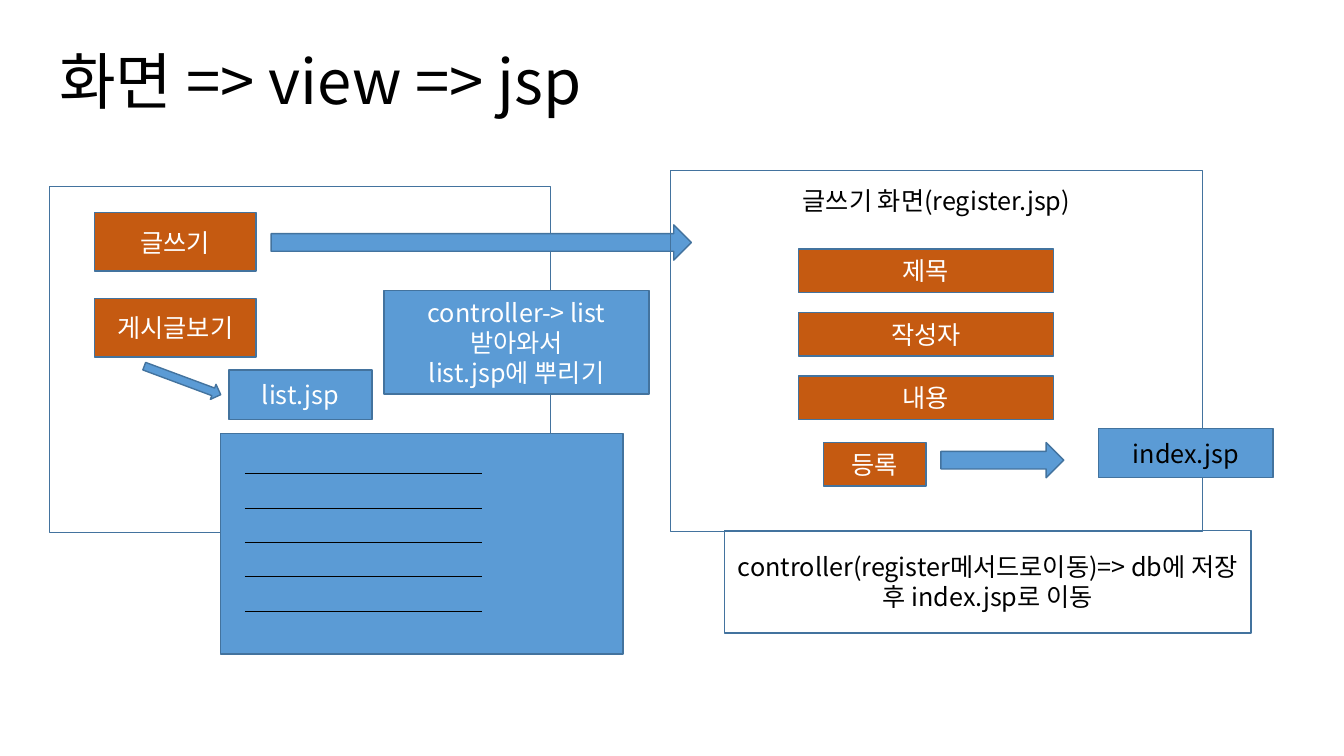
from lxml import etree
from pptx import Presentation
from pptx.dml.color import RGBColor
from pptx.enum.shapes import MSO_CONNECTOR, MSO_SHAPE
from pptx.enum.text import MSO_ANCHOR, PP_ALIGN
from pptx.oxml.ns import qn
from pptx.util import Pt

RECTANGLE, ARROW = MSO_SHAPE.RECTANGLE, MSO_SHAPE.RIGHT_ARROW
STRAIGHT = MSO_CONNECTOR.STRAIGHT
TOP, MIDDLE = MSO_ANCHOR.TOP, MSO_ANCHOR.MIDDLE
LEFT, CENTER = PP_ALIGN.LEFT, PP_ALIGN.CENTER
FONT = "Noto Sans CJK KR"
BLUE, ORANGE, OUTLINE = "5B9BD5", "C55A11", "43739E"
WHITE, BLACK = "FFFFFF", "000000"


def color(value):
    return RGBColor.from_string(value)


def write(shape, text, size=18, ink=WHITE, align=CENTER, anchor=MIDDLE,
          spacing=1.0, top=3.6):
    frame = shape.text_frame
    frame.word_wrap = True
    frame.vertical_anchor = anchor
    frame.margin_top = Pt(top)
    for index, line in enumerate(text.split("\n")):
        para = frame.add_paragraph() if index else frame.paragraphs[0]
        para.alignment = align
        para.line_spacing = spacing
        span = para.add_run()
        span.text = line
        span.font.size = Pt(size)
        span.font.color.rgb = color(ink)
        span.font.name = FONT
        east_asian = etree.SubElement(span.font._element, qn("a:ea"))
        east_asian.set("typeface", FONT)


def add_block(page, box, fill=None, text=None, kind=RECTANGLE, **style):
    shape = page.shapes.add_shape(kind, *map(Pt, box))
    shape.shadow.inherit = False
    if fill:
        shape.fill.solid()
        shape.fill.fore_color.rgb = color(fill)
    else:
        shape.fill.background()
    shape.line.color.rgb = color(OUTLINE)
    shape.line.width = Pt(1)
    if text:
        write(shape, text, **style)
    return shape


def add_rule(page, left, top, width):
    rule = page.shapes.add_connector(
        STRAIGHT, Pt(left), Pt(top), Pt(left + width), Pt(top))
    rule.line.color.rgb = color(BLACK)
    rule.line.width = Pt(0.5)
    etree.SubElement(rule._element.spPr, qn("a:effectLst"))


def add_title(page, box):
    title = page.shapes.add_textbox(*map(Pt, box))
    write(title, "화면 => view => jsp", size=44, ink=BLACK, align=LEFT,
          spacing=0.9)


def add_menu_screen(page, box):
    left, top, width, height = box
    add_block(page, box)
    for row, label in enumerate(("글쓰기", "게시글보기")):
        add_block(page, (left + 32.4, top + 18.7 + row * 61.2, 115.2, 41.8),
                  ORANGE, label)
    add_block(page, (left + 158.4, top + 27.4, 300.2, 25.2), BLUE, kind=ARROW)


def add_register_screen(page, box):
    left, top, width, height = box
    add_block(page, box, text="글쓰기 화면(register.jsp)", ink=BLACK,
              anchor=TOP, top=10.8)
    for row, label in enumerate(("제목", "작성자", "내용")):
        add_block(page, (left + 91.4, top + 56.2 + row * 45.4, 182.2, 31),
                  ORANGE, label)
    add_block(page, (left + 109.4, top + 194.4, 73.4, 31), ORANGE, "등록")
    add_block(page, (left + 193.3, top + 194.4, 87.8, 25.2), BLUE, kind=ARROW)
    add_block(page, (left + 306, top + 184.3, 124.6, 35.3), BLUE,
              "index.jsp", ink=BLACK)
    add_block(page, (left + 38.9, top + height - 0.7, 375.8, 73.4),
              text="controller(register메서드로이동)=> db에 저장 후 index.jsp로 이동",
              ink=BLACK)


def add_list_screen(page, box):
    left, top, width, height = box
    arrow = add_block(page, (left - 56.5, top - 43.6, 58.3, 11.5), BLUE,
                      kind=ARROW)
    arrow.rotation = 20.4
    add_block(page, (left + 5.8, top - 45.4, 102.2, 35.3), BLUE, "list.jsp")
    add_block(page, box, BLUE)
    for row in range(5):
        add_rule(page, left + 17.3, top + 28.8 + row * 24.5, 169.2)
    add_block(page, (left + 116.6, top - 102.2, 189.4, 74.2), BLUE,
              "controller-> list받아와서\nlist.jsp에 뿌리기")


deck = Presentation()
deck.slide_width, deck.slide_height = Pt(960), Pt(540)
page = deck.slides.add_slide(deck.slide_layouts[6])
add_title(page, (35.3, 26.6, 828, 67))
add_menu_screen(page, (35.3, 133.2, 357.8, 247))
add_register_screen(page, (478.8, 121.7, 380.2, 257.8))
add_list_screen(page, (157.7, 309.6, 287.3, 157.7))
deck.save("out.pptx")
